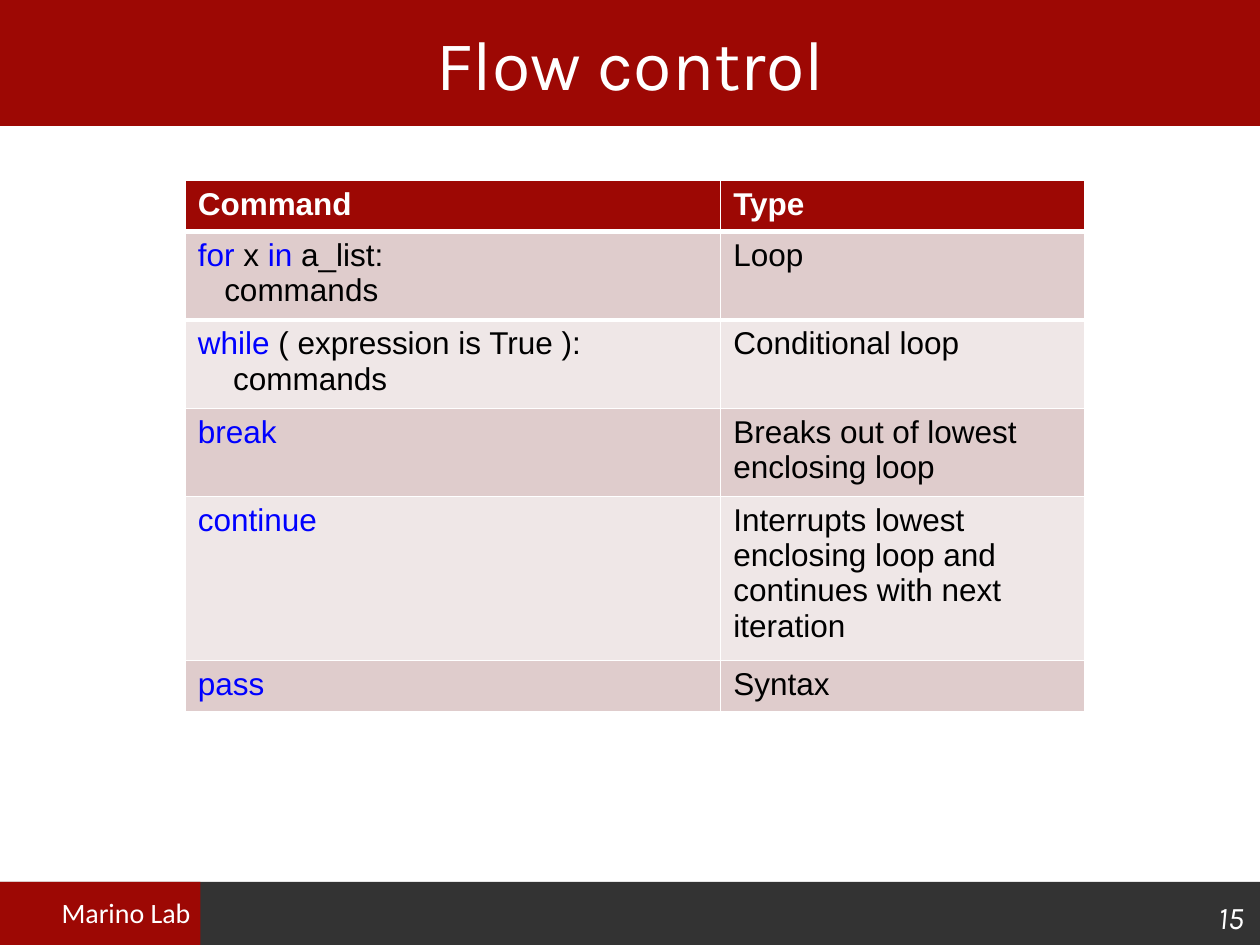
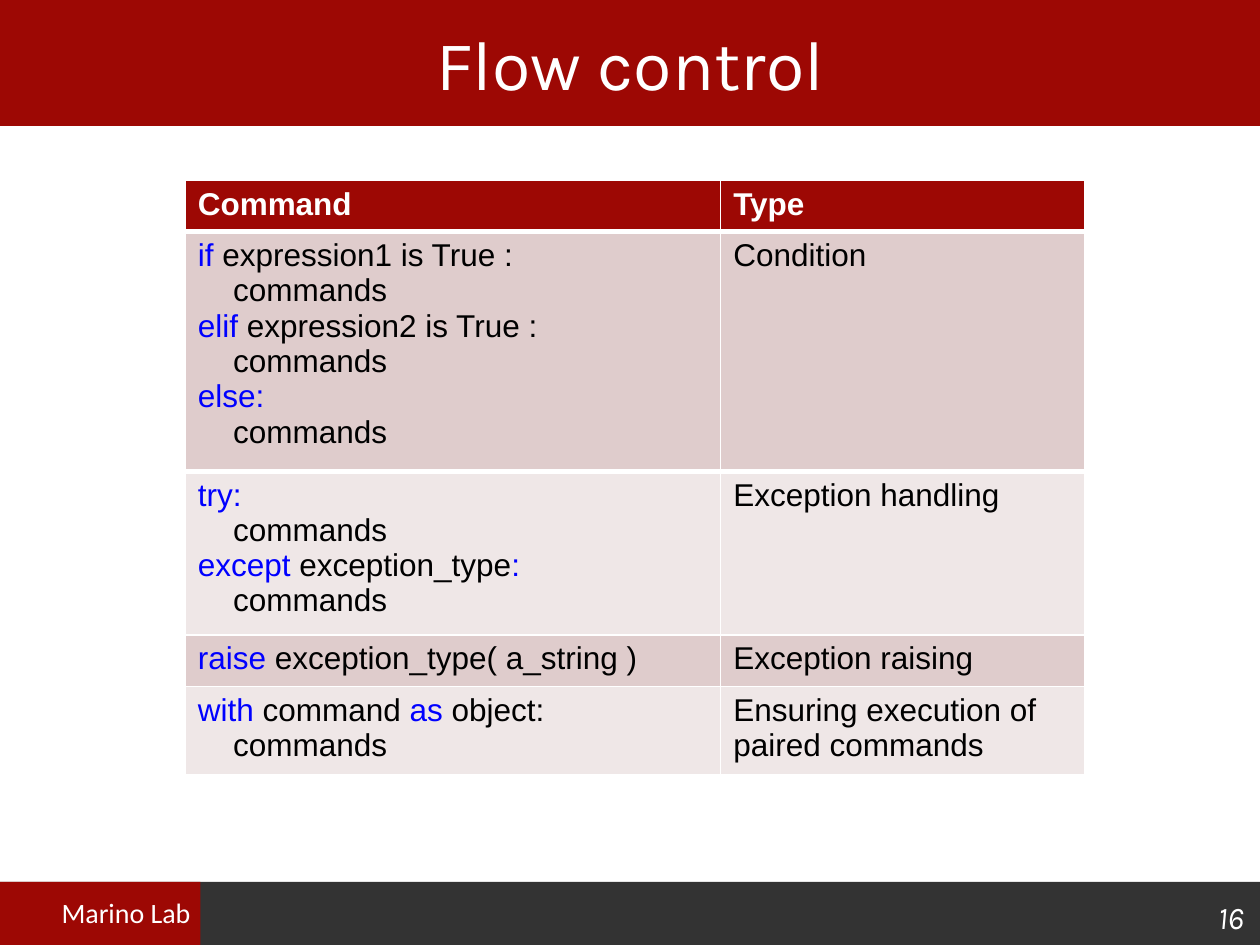
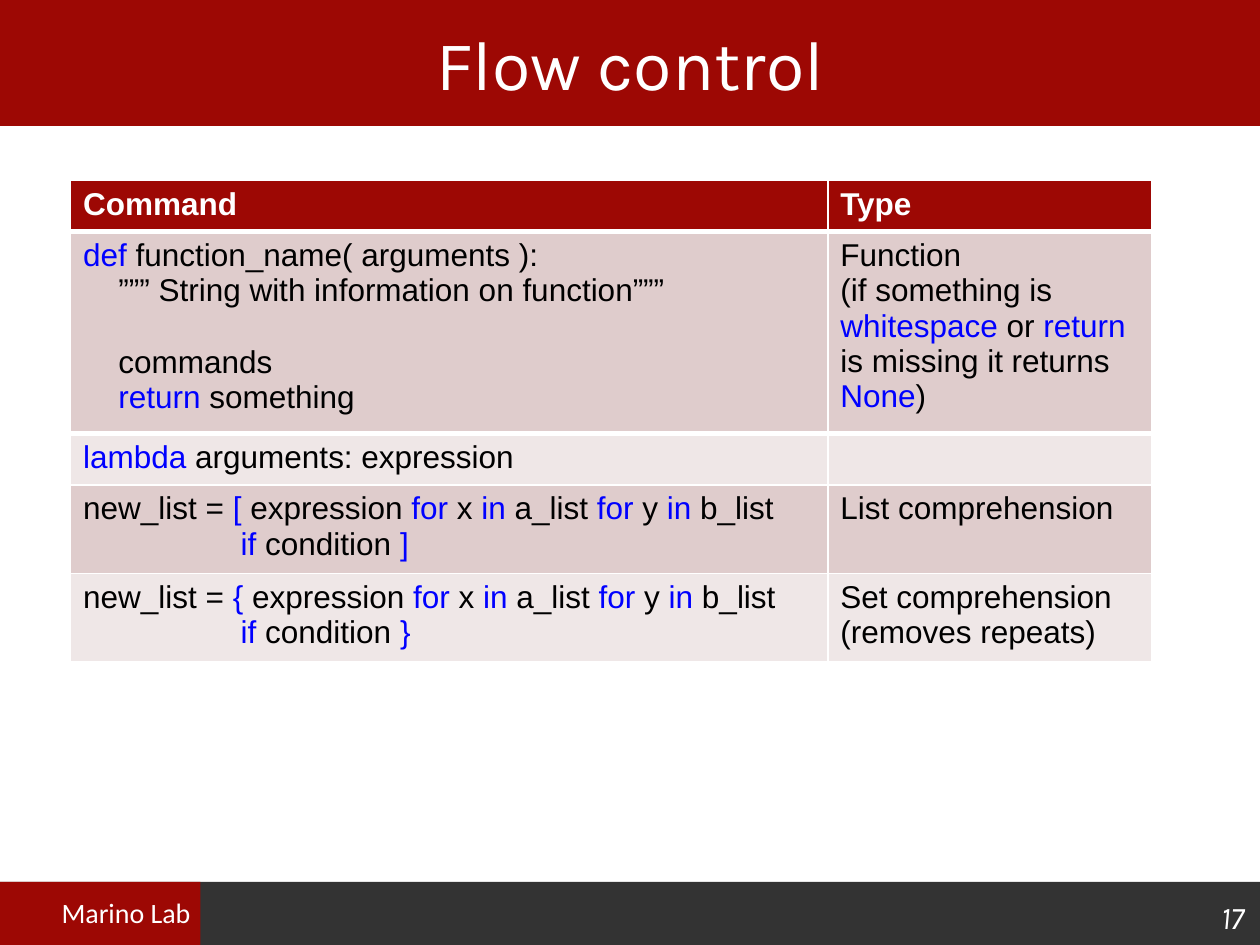
from lxml import etree
from pptx import Presentation
from pptx.dml.color import RGBColor
from pptx.enum.shapes import MSO_SHAPE
from pptx.enum.text import MSO_ANCHOR, MSO_AUTO_SIZE, PP_ALIGN
from pptx.oxml.ns import qn
from pptx.util import Inches, Pt

RECT = MSO_SHAPE.RECTANGLE
MIDDLE, BOTTOM = MSO_ANCHOR.MIDDLE, MSO_ANCHOR.BOTTOM
CENTER, RIGHT = PP_ALIGN.CENTER, PP_ALIGN.RIGHT
FIXED, GROW = MSO_AUTO_SIZE.NONE, MSO_AUTO_SIZE.SHAPE_TO_FIT_TEXT

RED, GREY, WHITE, BLACK, BLUE = "9D0804", "333333", "FFFFFF", "000000", "0000FF"
STRIPES = ["DFCCCC", "EFE7E7"]

TITLE = "Flow control"
LAB = "Marino Lab"
FIRST = 15
HEAD = ["Command", "Type"]
ROW = 0.41

BANDS = [
    (0, 7, 10, 0.5, GREY),
    (0, 0, 10, 1, RED),
    (0, 7, 1.59, 0.5, RED),
]
TITLE_FONT = dict(name="Karla", size=Pt(40), color=WHITE)
LAB_FONT = dict(name="Calibri", size=Pt(16), color=WHITE)
NUM_FONT = dict(name="Karla", size=Pt(18), color=WHITE, italic=True)
CELL_FONT = dict(name="Arial", size=Pt(18), bold=False)
HEAD_FONT = dict(CELL_FONT, color=WHITE, bold=True)

# A line is text, or (indent in inches, text, space before in points).
# Backticks enclose keywords.
STEP, DEEP = 0.28, 1.25
BODY = (STEP, "commands", 0)

TABLES = [
    dict(left=1.47, cols=[4.25, 2.89], rows=[
        (["`for` x `in` a_list:", (0.21, "commands", 0)], ["Loop"]),
        (["`while` ( expression is True ):", BODY], ["Conditional loop"]),
        (["`break`"], ["Breaks out of lowest enclosing loop"]),
        (["`continue`"], ["Interrupts lowest enclosing loop and "
                          "continues with next iteration"]),
        (["`pass`"], ["Syntax"]),
    ]),
    dict(left=1.47, cols=[4.25, 2.89], rows=[
        (["`if` expression1 is True :", BODY,
          "`elif` expression2 is True :", BODY, "`else:`", BODY],
         ["Condition"]),
        (["`try:`", BODY, "`except` exception_type`:`", BODY],
         ["Exception handling"]),
        (["`raise` exception_type( a_string )"], ["Exception raising"]),
        (["`with` command `as` object:", BODY],
         ["Ensuring execution of paired commands"]),
    ]),
    dict(left=0.56, cols=[6.01, 2.57], rows=[
        (["`def` function_name( arguments ):",
          (STEP, "””” String with information on function”””", 0),
          (STEP, "commands", 20.5),
          (STEP, "`return` something", 0)],
         ["Function", "(if something is `whitespace` or `return` "
                      "is missing it returns `None`)"]),
        (["`lambda` arguments: expression"], []),
        (["new_list = `[` expression `for` x `in` a_list `for` y `in` b_list",
          (DEEP, "`if` condition `]`", 0)],
         ["List comprehension"]),
        (["new_list = `{` expression `for` x `in` a_list `for` y `in` b_list",
          (DEEP, "`if` condition `}`", 0)],
         ["Set comprehension", "(removes repeats)"]),
    ]),
]


def paint(fill, color):
    fill.solid()
    fill.fore_color.rgb = RGBColor.from_string(color)


def style(font, color, **attrs):
    for key, value in attrs.items():
        setattr(font, key, value)
    font.color.rgb = RGBColor.from_string(color)


def write(frame, text, look, align=None, **attrs):
    for key, value in attrs.items():
        setattr(frame, key, value)
    para = frame.paragraphs[0]
    para.alignment = align
    run = para.add_run()
    run.text = text
    style(run.font, **look)


def add_text(slide, box, text, look, **attrs):
    shape = slide.shapes.add_textbox(*map(Inches, box))
    write(shape.text_frame, text, look, **attrs)
    return shape


def add_base(slide):
    """Build the bands and the lab name, then move them to the layout."""
    parts = []
    for *box, color in BANDS:
        band = slide.shapes.add_shape(RECT, *map(Inches, box))
        band.shadow.inherit = False
        band.line.fill.background()
        paint(band.fill, color)
        parts.append(band)
    parts.append(add_text(slide, (0.39, 7.06, 1.21, 0.37), LAB, LAB_FONT,
                          word_wrap=False, auto_size=GROW, margin_right=0))
    tree = slide.slide_layout.shapes._spTree
    for num, part in enumerate(parts, 20):
        part._element.nvSpPr.cNvPr.set("id", str(num))
        tree.append(part._element)


def add_edge(cell, side, color, width):
    props = cell._tc.get_or_add_tcPr()
    line = etree.Element(qn("a:" + side), w=str(Pt(width)))
    fill = etree.SubElement(line, qn("a:solidFill"))
    etree.SubElement(fill, qn("a:srgbClr"), val=color)
    props.insert(0, line)


def fill_cell(cell, lines, color):
    paint(cell.fill, color)
    frame = cell.text_frame
    for i, line in enumerate(lines):
        indent, text, gap = (0, line, 0) if isinstance(line, str) else line
        para = frame.add_paragraph() if i else frame.paragraphs[0]
        if indent:
            para._p.get_or_add_pPr().set("marL", str(Inches(indent)))
        if gap:
            para.space_before = Pt(gap)
        for j, part in enumerate(text.split("`")):
            if part:
                run = para.add_run()
                run.text = part
                style(run.font, BLUE if j % 2 else BLACK, **CELL_FONT)


def add_grid(slide, left, cols, rows):
    count = len(rows) + 1
    grid = slide.shapes.add_table(
        count, len(cols), Inches(left), Inches(1.43),
        Inches(sum(cols)), Inches(ROW * count)).table
    for col, width in zip(grid.columns, cols):
        col.width = Inches(width)
    for cell, text in zip(grid.rows[0].cells, HEAD):
        paint(cell.fill, RED)
        write(cell.text_frame, text, HEAD_FONT)
        add_edge(cell, "lnB", WHITE, 3)
    for r, row in enumerate(rows):
        for cell, lines in zip(grid.rows[r + 1].cells, row):
            fill_cell(cell, lines, STRIPES[r % 2])
    for cell in grid.rows[1].cells:
        add_edge(cell, "lnT", WHITE, 3)


def main():
    prs = Presentation()
    prs.slide_width, prs.slide_height = Inches(10), Inches(7.5)
    layout = prs.slide_layouts[5]
    for num, table in enumerate(TABLES, FIRST):
        slide = prs.slides.add_slide(layout)
        if num == FIRST:
            add_base(slide)
        title = slide.shapes.title
        title.left, title.top = 0, 0
        title.width, title.height = Inches(10), Inches(1)
        write(title.text_frame, TITLE, TITLE_FONT, align=CENTER,
              vertical_anchor=MIDDLE, auto_size=FIXED)
        add_text(slide, (9.05, 7.08, 0.92, 0.4), str(num), NUM_FONT,
                 align=RIGHT, word_wrap=True, auto_size=GROW,
                 vertical_anchor=BOTTOM)
        add_grid(slide, **table)
    prs.save("out.pptx")


if __name__ == "__main__":
    main()
